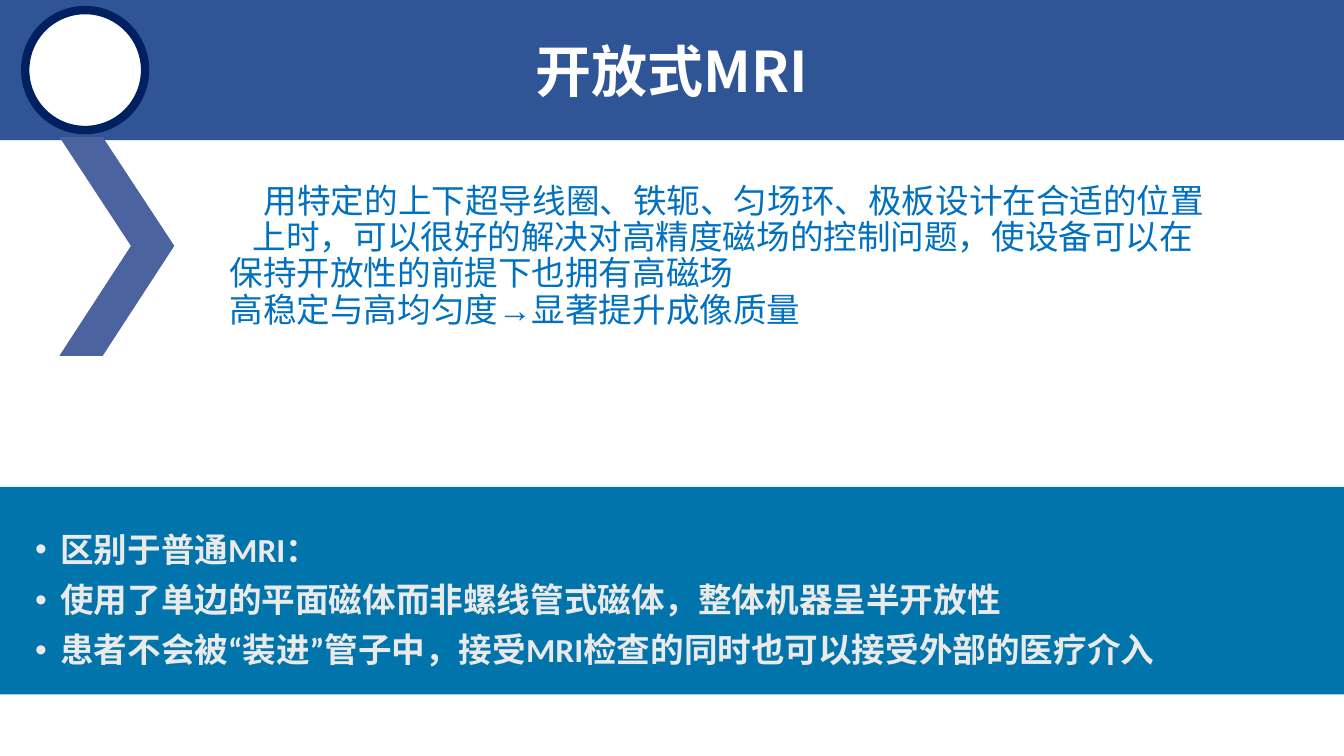
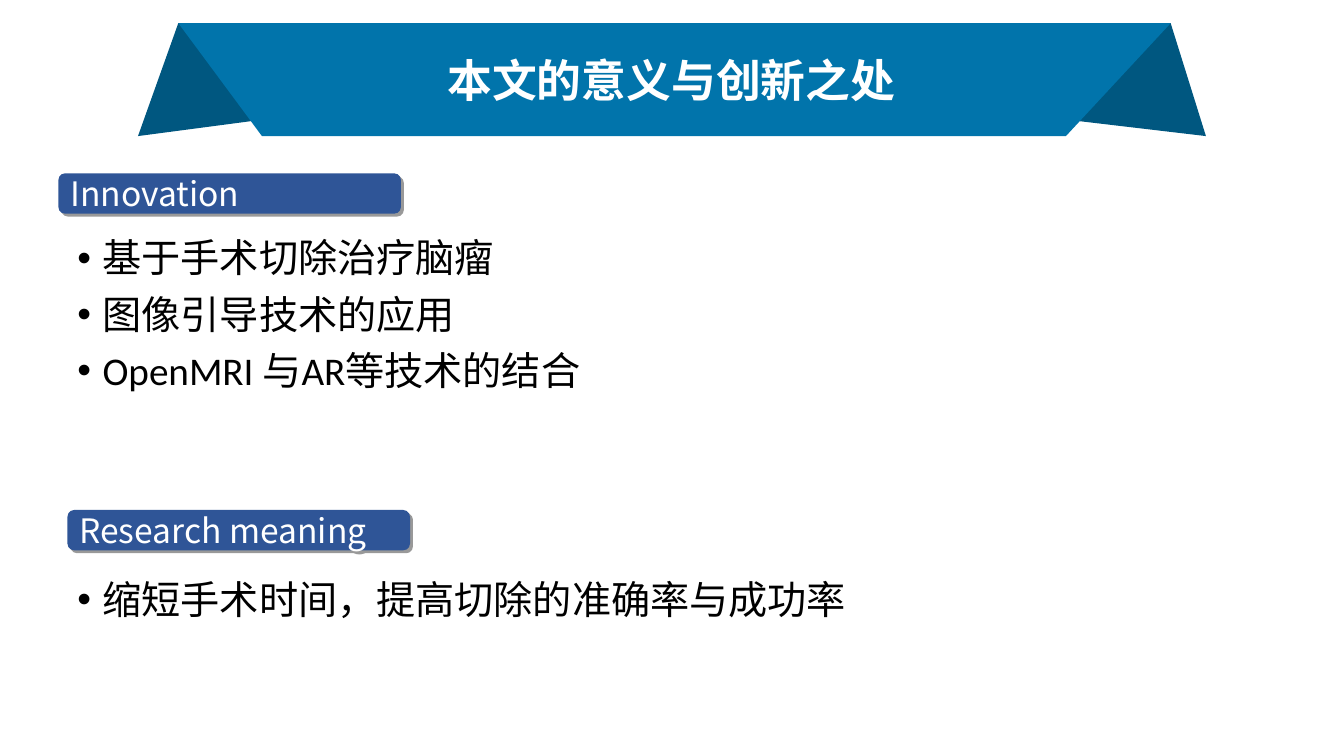
from lxml import etree
from pptx import Presentation
from pptx.dml.color import RGBColor
from pptx.enum.shapes import MSO_SHAPE
from pptx.enum.text import MSO_ANCHOR, PP_ALIGN
from pptx.oxml.ns import qn
from pptx.util import Emu, Pt

PX = 9144  # EMU in one px, 100 px to the inch
WIDE, HIGH = 1334, 750
RECT, OVAL, ROUND = MSO_SHAPE.RECTANGLE, MSO_SHAPE.OVAL, MSO_SHAPE.ROUNDED_RECTANGLE
TOP, MID = MSO_ANCHOR.TOP, MSO_ANCHOR.MIDDLE
LEFT, CENTER = PP_ALIGN.LEFT, PP_ALIGN.CENTER

NAVY, BLUE, DEEP, WHITE = "2F5597", "0174AB", "005780", "FFFFFF"
SANS, BODY = "Noto Sans CJK SC", "Calibri"
HEAD = dict(size=Pt(40), name=SANS, bold=True)
BANNER = dict(size=Pt(32), name=SANS, bold=True)
LABEL = dict(size=Pt(24), name=SANS)
LEAD = dict(size=Pt(24), name=BODY)
NOTE = dict(size=Pt(24), name=BODY, bold=True)
ITEM = dict(size=Pt(28), name=BODY)


def rgb(code):
    return RGBColor.from_string(code)


def px(*sizes):
    return [Emu(size * PX) for size in sizes]


def node(parent, tag, **attrs):
    return etree.SubElement(parent, qn("a:" + tag), attrs)


class Deck:
    def __init__(self):
        self.prs = Presentation()
        self.prs.slide_width, self.prs.slide_height = px(WIDE, HIGH)
        self.slide = None

    def page(self):
        self.slide = self.prs.slides.add_slide(self.prs.slide_layouts[6])

    def paint(self, shape, fill, line=None, width=0):
        shape.shadow.inherit = False
        shape.fill.solid()
        shape.fill.fore_color.rgb = rgb(fill)
        if line:
            shape.line.color.rgb = rgb(line)
            shape.line.width = Pt(width)
        else:
            shape.line.fill.background()
        return shape

    def shape(self, kind, box, fill, line=None, width=0):
        new = self.slide.shapes.add_shape(kind, *px(*box))
        return self.paint(new, fill, line, width)

    def free(self, points, fill):
        pen = self.slide.shapes.build_freeform(*points[0], scale=PX)
        pen.add_line_segments(points[1:], close=True)
        return self.paint(pen.convert_to_shape(), fill)

    def frame(self, shape, anchor=TOP):
        frame = shape.text_frame
        frame.word_wrap, frame.vertical_anchor = True, anchor
        return frame

    def run(self, para, text, style, color):
        run = para.add_run()
        run.text = text
        for key, value in style.items():
            setattr(run.font, key, value)
        run.font.color.rgb = rgb(color)
        node(run.font._element if hasattr(run.font, "_element") else run._r.get_or_add_rPr(),
             "ea", typeface=style["name"])

    def line(self, shape, text, style, align=LEFT, anchor=MID):
        para = self.frame(shape, anchor).paragraphs[0]
        para.alignment = align
        self.run(para, text, style, WHITE)

    def text(self, box):
        return self.slide.shapes.add_textbox(*px(*box))

    def para(self, frame, first, runs, style, color, left, indent):
        para = frame.paragraphs[0] if first else frame.add_paragraph()
        props = para._p.get_or_add_pPr()
        props.set("marL", str(left * PX))
        props.set("indent", str(indent * PX))
        para.line_spacing = 0.9
        for text, font in runs:
            self.run(para, text, {**style, "name": font}, color)
        return para, props

    def lead(self, box, lines, color):
        frame = self.frame(self.text(box))
        for num, (left, indent, runs) in enumerate(lines):
            self.para(frame, num == 0, runs, LEAD, color, left, indent)

    def bullets(self, box, items, style, color):
        frame = self.frame(self.text(box))
        for num, item in enumerate(items):
            para, props = self.para(frame, num == 0, [(item, BODY)], style, color, 25, -25)
            if num:
                para.space_before = Pt(10)
            node(node(props, "buClr"), "srgbClr", val=color)
            node(props, "buFont", typeface="Arial")
            node(props, "buChar", char="•")

    def tag(self, left, top, text):
        tag = self.shape(ROUND, (left, top, 340, 40), NAVY)
        tag.adjustments[0] = 0.167
        cast = node(tag._element.spPr.find(qn("a:effectLst")), "outerShdw",
                    dist=str(Pt(3)), dir="2700000", algn="tl", rotWithShape="0")
        node(node(cast, "srgbClr", val="000000"), "alpha", val="40000")
        self.line(tag, text, LABEL)


def open_mri(deck):
    deck.page()
    # Lower band and its points
    deck.shape(RECT, (0, 483, WIDE, 206), BLUE)
    deck.bullets((25, 524, 1309, 181), [
        "区别于普通MRI：",
        "使用了单边的平面磁体而非螺线管式磁体，整体机器呈半开放性",
        "患者不会被“装进”管子中，接受MRI检查的同时也可以接受外部的医疗介入",
    ], NOTE, "EAEAEA")
    # Lead text: left margin, first line indent, runs
    deck.lead((118, 178, 1098, 194), [
        (134, 0, [("用特定的上下超导线圈、铁轭、匀场环、极板设计在合适的位置", BODY)]),
        (100, 23, [("上时，可以很好的解决对高精度磁场的控制问题，"
                    "使设备可以在保持开放性的前提下也拥有高磁场", BODY)]),
        (100, 0, [("高稳定与高均匀度", BODY), ("→", "Arial"), ("显著提升成像质量", BODY)]),
    ], "0070C0")
    # Title band, disc and chevron
    band = deck.shape(RECT, (0, 0, WIDE, 139), NAVY)
    deck.line(band, "开放式MRI", HEAD, CENTER)
    deck.shape(OVAL, (25, 10, 119, 119), WHITE, "002060", 6)
    deck.free([(59, 136), (102, 136), (173, 244), (102, 353), (59, 353), (130, 244)],
              "4B649F")


def meaning(deck):
    deck.page()
    # Ribbon title
    deck.free([(177, 23), (1162, 23), (1197, 135), (637, 69), (137, 135)], DEEP)
    deck.free([(177, 23), (1162, 23), (1058, 135), (260, 135)], BLUE)
    deck.line(deck.text((333, 47, 667, 64)), "本文的意义与创新之处", BANNER, CENTER, TOP)
    # Sections: tag place, tag text, list top and height, points
    parts = [
        (58, 172, "Innovation", 232, 180,
         ["基于手术切除治疗脑瘤", "图像引导技术的应用", "OpenMRI 与AR等技术的结合"]),
        (67, 506, "Research meaning", 571, 70,
         ["缩短手术时间，提高切除的准确率与成功率"]),
    ]
    for left, top, name, start, high, items in parts:
        deck.bullets((67, start, 1200, high), items, ITEM, "000000")
        deck.tag(left, top, name)


def main():
    deck = Deck()
    open_mri(deck)
    meaning(deck)
    deck.prs.save("out.pptx")


if __name__ == "__main__":
    main()
